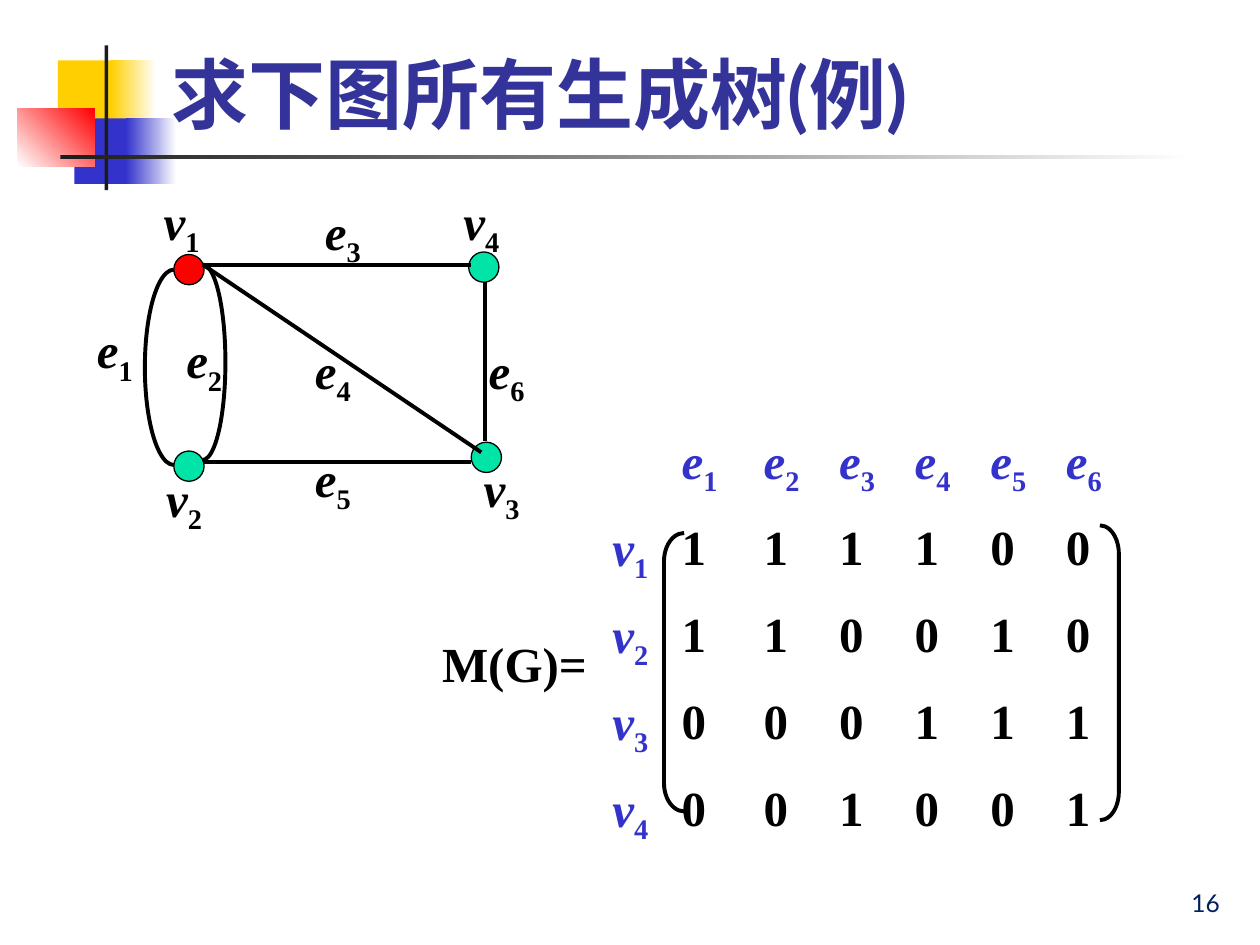
from lxml.etree import SubElement
from pptx import Presentation
from pptx.dml.color import RGBColor
from pptx.enum.shapes import MSO_CONNECTOR, MSO_SHAPE
from pptx.enum.text import MSO_ANCHOR, PP_ALIGN
from pptx.oxml import parse_xml
from pptx.oxml.ns import qn
from pptx.util import Inches, Pt

BLUE, BLACK, GREEN, RED = "3333CC", "000000", "00E4A8", "FF0000"


def color(text):
    return RGBColor.from_string(text)


def write(para, text, tint=BLACK, font="Times New Roman", size=28, bold=True):
    """Fill a paragraph; a letter with a digit becomes an italic name with a subscript."""
    name = len(text) == 2 and text[0] in "ev"
    for i, part in enumerate(text if name else [text]):
        run = para.add_run()
        run.text = part
        run.font.name, run.font.size = font, Pt(size)
        run.font.bold, run.font.italic = bold, name and i == 0
        run.font.color.rgb = color(tint)
        if name and i == 1:
            run._r.get_or_add_rPr().set("baseline", "-25000")


deck = Presentation()
deck.slide_width, deck.slide_height = Inches(10), Inches(7.5)
slide = deck.slides.add_slide(deck.slide_layouts[5])
shapes = slide.shapes

# Corner ornament: place, start colour, end colour, angle
for place, start, end, angle in [
    ((0.46, 0.48, 0.48, 0.52), "FFCF01", None, 0),
    ((0.88, 0.48, 0.36, 0.52), "FFCF01", "FFFFFF", 0),
    ((0.59, 0.94, 0.46, 0.52), BLUE, None, 0),
    ((1, 0.94, 0.4, 0.52), BLUE, "FFFFFF", 0),
    ((0.14, 0.86, 0.61, 0.46), "FFFFFF", RED, 45),
    ((0.83, 0.36, 0.03, 1.15), "1C1C1C", None, 0),
    ((0.48, 1.23, 9, 0.03), "1C1C1C", "FFFFFF", 0),
]:
    block = shapes.add_shape(MSO_SHAPE.RECTANGLE, *map(Inches, place))
    block.shadow.inherit = False
    block.line.fill.background()
    if end:
        block.fill.gradient()
        block.fill.gradient_angle = angle
        for stop, tint in zip(block.fill.gradient_stops, (start, end)):
            stop.color.rgb = color(tint)
    else:
        block.fill.solid()
        block.fill.fore_color.rgb = color(start)

# Title, in front of the ornament
title = shapes.title
shapes._spTree.append(title._element)
title.left, title.top = Inches(1.26), Inches(0.08)
title.width, title.height = Inches(8.52), Inches(1.07)
title.text_frame.vertical_anchor = MSO_ANCHOR.BOTTOM
head = title.text_frame.paragraphs[0]
head.alignment = PP_ALIGN.LEFT
write(head, "求下图所有生成树(例)", "333399", "Lato", 44)
head.runs[0]._r.rPr.find(qn("a:solidFill")).addnext(parse_xml(
    '<a:effectLst xmlns:a="http://schemas.openxmlformats.org/drawingml/2006/main">'
    '<a:outerShdw blurRad="38100" dist="38100" dir="2700000" algn="tl">'
    '<a:srgbClr val="000000"/></a:outerShdw></a:effectLst>'))

# Incidence matrix
matrix = ["111100", "110010", "000111", "001001"]
rows = [[""] + [f"e{n}" for n in range(1, 7)]]
rows += [[f"v{n}", *line] for n, line in enumerate(matrix, 1)]
table = shapes.add_table(5, 7, Inches(4.76), Inches(3.36), Inches(4.2), Inches(3.45)).table
table.first_row = table.horz_banding = False
for col, width in zip(table.columns, [0.55, 0.65] + [0.6] * 5):
    col.width = Inches(width)
for r, row in enumerate(rows):
    table.rows[r].height = Inches(0.69)
    for c, text in enumerate(row):
        cell = table.cell(r, c)
        cell.fill.background()
        para = cell.text_frame.paragraphs[0]
        para.line_spacing = 1.1
        if text:
            write(para, text, BLUE if r == 0 or c == 0 else BLACK)

# Matrix brackets and the two curved edges e1 and e2 (arc angles in 60000ths / 100000)
for kind, place, adjust in [
    (MSO_SHAPE.LEFT_BRACKET, (5.27, 4.23, 0.16, 2.21), [1.41]),
    (MSO_SHAPE.RIGHT_BRACKET, (8.73, 4.17, 0.15, 2.34), [1.51]),
    (MSO_SHAPE.ARC, (1.15, 2.14, 0.46, 1.55), [54, 162]),
    (MSO_SHAPE.ARC, (1.43, 2.1, 0.36, 1.55), [162, 54]),
]:
    curve = shapes.add_shape(kind, *map(Inches, place))
    for i, value in enumerate(adjust):
        curve.adjustments[i] = value
    curve.shadow.inherit = False
    curve.fill.background()
    curve.line.color.rgb = color(BLACK)
    curve.line.width = Pt(2.25)

# Vertices
for x, y, tint in [(1.38, 2.02, RED), (3.72, 2, GREEN), (3.74, 3.51, GREEN), (1.38, 3.58, GREEN)]:
    dot = shapes.add_shape(MSO_SHAPE.OVAL, Inches(x), Inches(y), Inches(0.24), Inches(0.24))
    dot.shadow.inherit = False
    dot.fill.solid()
    dot.fill.fore_color.rgb = color(tint)
    dot.line.color.rgb = color(BLACK)
    dot.line.width = Pt(0.75)

# Straight edges
for ends in [
    (1.61, 2.1, 3.74, 2.1),
    (3.85, 2.24, 3.85, 3.5),
    (1.61, 3.67, 3.74, 3.67),
    (1.61, 2.1, 3.82, 3.59),
]:
    edge = shapes.add_connector(MSO_CONNECTOR.STRAIGHT, *map(Inches, ends))
    edge.line.color.rgb = color(BLACK)
    edge.line.width = Pt(2.25)
    SubElement(edge._element.spPr, qn("a:effectLst"))

# Labels
for text, x, y in [
    ("v1", 1.2, 1.47), ("v4", 3.58, 1.47), ("v3", 3.74, 3.59), ("v2", 1.22, 3.67),
    ("e1", 0.67, 2.49), ("e2", 1.38, 2.57), ("e3", 2.48, 1.55),
    ("e4", 2.4, 2.65), ("e5", 2.4, 3.51), ("e6", 3.78, 2.65), ("M(G)=", 3.41, 4.98),
]:
    width = 0.51 if len(text) == 2 else 1.35
    label = shapes.add_textbox(Inches(x), Inches(y), Inches(width), Inches(0.57))
    label.text_frame.word_wrap = False
    write(label.text_frame.paragraphs[0], text)

# Page number
page = shapes.add_textbox(Inches(7.7), Inches(6.83), Inches(2.08), Inches(0.5)).text_frame
page.word_wrap = True
page.vertical_anchor = MSO_ANCHOR.BOTTOM
page.paragraphs[0].alignment = PP_ALIGN.RIGHT
write(page.paragraphs[0], "16", "002060", "Lato", 14, False)

deck.save("out.pptx")
